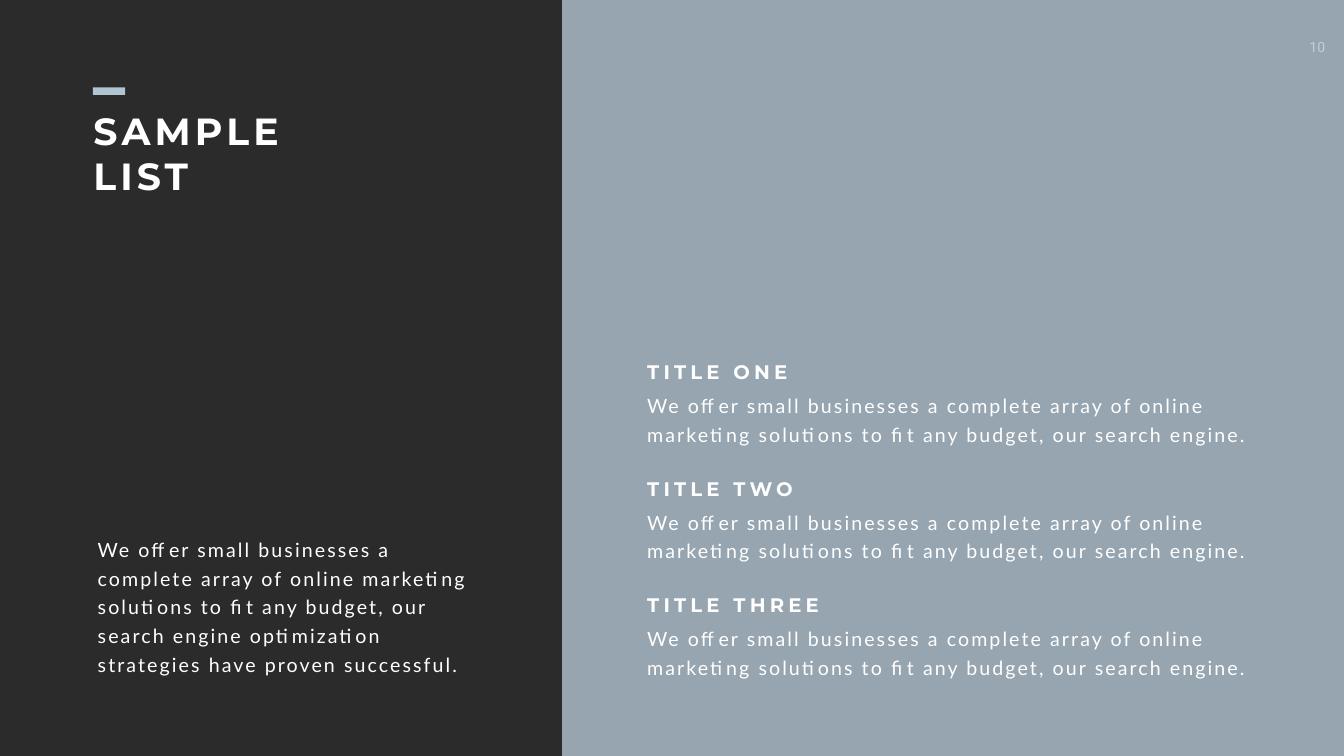
from lxml import etree
from pptx import Presentation
from pptx.dml.color import RGBColor
from pptx.enum import shapes, text
from pptx.oxml.ns import qn
from pptx.util import Pt

WIDTH, HEIGHT = 1919.52, 1080
DARK, BLUE, WHITE = "2B2B2B", "B1C4D2", "FFFFFF"

TITLE = "SAMPLE LIST"
PAGE = "10"
OFFER = "We offer small businesses a complete array of online marketing solutions to fit any budget, our search engine"
INTRO = OFFER + " optimization strategies have proven successful."
ITEMS = [
    ("TITLE ONE", OFFER + "."),
    ("TITLE TWO", OFFER + "."),
    ("TITLE THREE", OFFER + "."),
]

PANEL_LEFT = 802.8
ITEM_LEFT, ITEM_TOP, ITEM_PITCH = 917.28, 511.2, 166.4
HEADING_HEIGHT = 41

HEADING = dict(font="Montserrat", bold=True, tracking=6)
BODY = dict(font="Lato", tracking=3, line=40.8)


def rgb(value):
    return RGBColor.from_string(value)


def place(sp, left, top, width, height):
    sp.left, sp.top, sp.width, sp.height = Pt(left), Pt(top), Pt(width), Pt(height)


def write(sp, content, font, size=28, bold=False, tracking=0, line=None,
          align=text.PP_ALIGN.LEFT):
    tf = sp.text_frame
    tf.word_wrap = True
    tf.auto_size = text.MSO_AUTO_SIZE.NONE
    tf.vertical_anchor = text.MSO_ANCHOR.TOP
    p = tf.paragraphs[0]
    p.alignment = align
    if line:
        p.line_spacing = Pt(line)
    r = p.add_run()
    r.text = content
    r.font.name, r.font.size, r.font.bold = font, Pt(size), bold
    r.font.color.rgb = rgb(WHITE)
    if tracking:
        r.font._element.set("spc", str(tracking * 100))


def add_text(s, box, content, **style):
    sp = s.shapes.add_textbox(*map(Pt, box))
    write(sp, content, **style)
    return sp


def add_block(s, box, color, opacity=100):
    sp = s.shapes.add_shape(shapes.MSO_SHAPE.RECTANGLE, *map(Pt, box))
    sp.shadow.inherit = False
    sp.line.fill.background()
    sp.fill.solid()
    sp.fill.fore_color.rgb = rgb(color)
    if opacity < 100:
        clr = sp._element.spPr.find(".//" + qn("a:srgbClr"))
        etree.SubElement(clr, qn("a:alpha")).set("val", str(opacity * 1000))


def main():
    prs = Presentation()
    prs.slide_width, prs.slide_height = Pt(WIDTH), Pt(HEIGHT)
    s = prs.slides.add_slide(prs.slide_layouts[5])
    s.background.fill.solid()
    s.background.fill.fore_color.rgb = rgb(DARK)

    place(s.shapes.title, 126, 149.76, 326.16, 138.24)
    write(s.shapes.title, TITLE, size=54, **HEADING)
    add_block(s, (132.84, 124.92, 46.08, 10.8), BLUE)

    # The translucent panel lies over the page number and dims it.
    number = add_text(s, (1845, 48.24, 72.72, 38.88), PAGE, font="Roboto",
                      size=20, align=text.PP_ALIGN.CENTER)
    number.text_frame.margin_top = Pt(7.2)
    add_block(s, (PANEL_LEFT, 0, WIDTH - PANEL_LEFT, HEIGHT), BLUE, opacity=80)

    for i, (heading, body) in enumerate(ITEMS):
        top = ITEM_TOP + i * ITEM_PITCH
        add_text(s, (ITEM_LEFT, top, 411.84, HEADING_HEIGHT), heading, **HEADING)
        add_text(s, (ITEM_LEFT, top + HEADING_HEIGHT, 887.76, 85.68), body, **BODY)

    add_text(s, (132.48, 758.16, 555.12, 210.24), INTRO, **BODY)
    prs.save("out.pptx")


if __name__ == "__main__":
    main()
